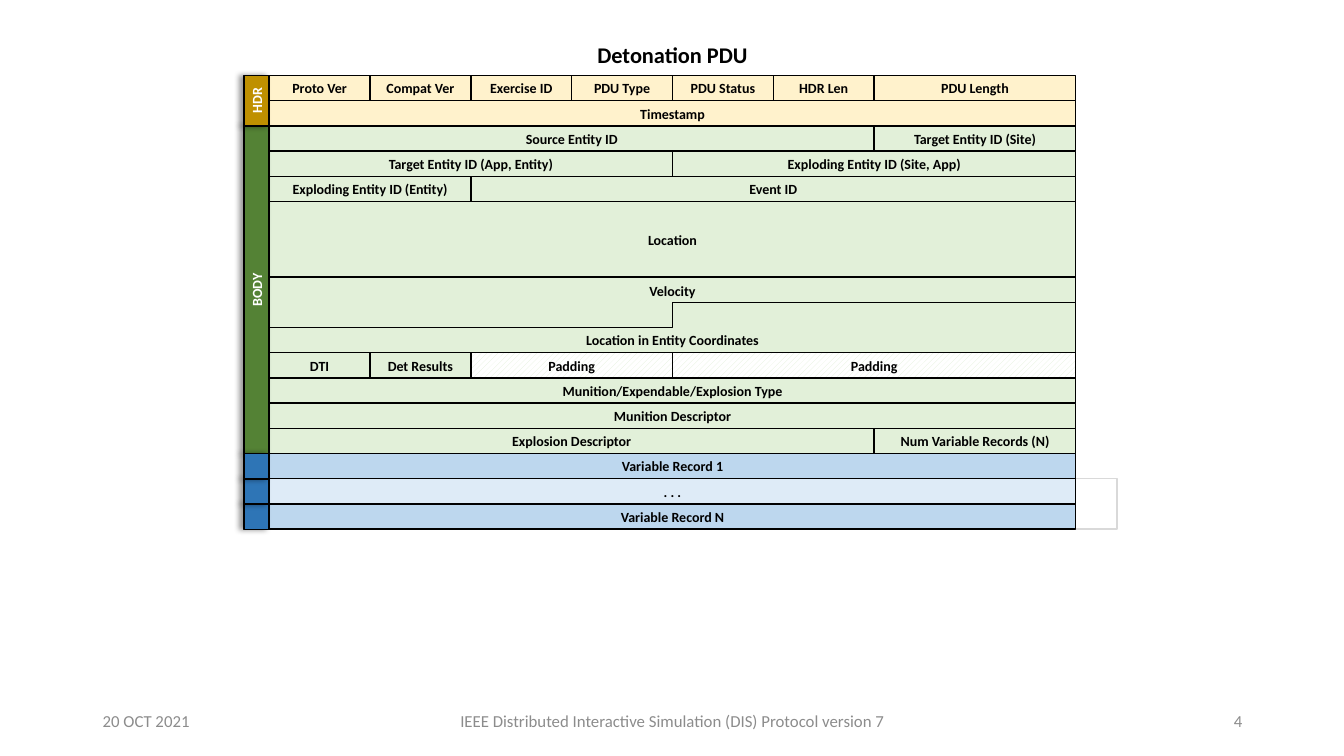
from lxml import etree
from pptx import Presentation
from pptx import util as u
from pptx.dml import color
from pptx.enum import dml, shapes, text
from pptx.oxml import ns

BYTE, ROW = 1, 0.25
FIELDS_X, FIELDS_Y = 2.67, 0.75
STRIP_W = 0.25
CREAM, GREEN, BLUE, PALE_BLUE = "FFF2CC", "E2F0D9", "BDD7EE", "DEEBF7"
BLACK, WHITE, GREY = "000000", "FFFFFF", "8C8C8C"
CENTER, MIDDLE = text.PP_ALIGN.CENTER, text.MSO_ANCHOR.MIDDLE

# First row, fill, rows high, (label, bytes wide) of each field
FIELD_ROWS = [
    (0, CREAM, 1, [("Proto Ver", 1), ("Compat Ver", 1), ("Exercise ID", 1), ("PDU Type", 1),
                   ("PDU Status", 1), ("HDR Len", 1), ("PDU Length", 2)]),
    (1, CREAM, 1, [("Timestamp", 8)]),
    (2, GREEN, 1, [("Source Entity ID", 6), ("Target Entity ID (Site)", 2)]),
    (3, GREEN, 1, [("Target Entity ID (App, Entity)", 4),
                   ("Exploding Entity ID (Site, App)", 4)]),
    (4, GREEN, 1, [("Exploding Entity ID (Entity)", 2), ("Event ID", 6)]),
    (5, GREEN, 3, [("Location", 8)]),
    (8, GREEN, 2, [("Velocity", 8)]),
    (9, GREEN, 2, [("Location in Entity Coordinates", 8)]),
    (11, GREEN, 1, [("DTI", 1), ("Det Results", 1), ("Padding", 2), ("Padding", 4)]),
    (12, GREEN, 1, [("Munition/Expendable/Explosion Type", 8)]),
    (13, GREEN, 1, [("Munition Descriptor", 8)]),
    (14, GREEN, 1, [("Explosion Descriptor", 6), ("Num Variable Records (N)", 2)]),
    (15, BLUE, 1, [("Variable Record 1", 8)]),
    (16, PALE_BLUE, 1, [(". . .", 8)]),
    (17, BLUE, 1, [("Variable Record N", 8)]),
]

# First row, rows high, fill, label
SECTIONS = [
    (2, 13, "548235", "BODY"),
    (0, 2, "BF9000", "HDR"),
    (17, 1, "2E75B6", ""),
    (16, 1, "2E75B6", ""),
    (15, 1, "2E75B6", ""),
]


def rgb(value):
    return color.RGBColor.from_string(value)


def write(sp, label, size=10, ink=BLACK, bold=True, align=CENTER, anchor=MIDDLE):
    tf = sp.text_frame
    tf.word_wrap = True
    tf.vertical_anchor = anchor
    p = tf.paragraphs[0]
    p.alignment = align
    r = p.add_run()
    r.text = label
    for name, value in {"name": "Calibri", "size": u.Pt(size), "bold": bold}.items():
        setattr(r.font, name, value)
    r.font.color.rgb = rgb(ink)


def add_box(slide, x, y, w, h, fill=None, line=BLACK):
    sp = slide.shapes.add_shape(shapes.MSO_SHAPE.RECTANGLE, *map(u.Inches, (x, y, w, h)))
    sp.shadow.inherit = False
    if fill:
        sp.fill.solid()
        sp.fill.fore_color.rgb = rgb(fill)
    else:
        sp.fill.background()
    sp.line.color.rgb = rgb(line)
    sp.line.width = u.Pt(1)
    return sp


def add_turned_box(slide, x, y, w, h, turn, **style):
    """Fill the box x, y, w, h with a rectangle turned by a quarter."""
    sp = add_box(slide, x + (w - h) / 2, y + (h - w) / 2, h, w, **style)
    sp.rotation = turn
    return sp


def cast_shadow_left(sp):
    effects = sp._element.spPr.find(ns.qn("a:effectLst"))
    shadow = etree.SubElement(effects, ns.qn("a:outerShdw"), blurRad=str(u.Pt(4)),
                              dist=str(u.Pt(3)), dir="10800000", rotWithShape="0")
    tint = etree.SubElement(shadow, ns.qn("a:srgbClr"), val=BLACK)
    etree.SubElement(tint, ns.qn("a:alpha"), val="40000")


def cut_top_left(sp, w, h):
    """Turn a rectangle into a mirrored corner shape without its top left quarter."""
    props = sp._element.spPr
    props.find(ns.qn("a:xfrm")).set("flipH", "1")
    geometry = props.find(ns.qn("a:prstGeom"))
    geometry.set("prst", "corner")
    guides = geometry.find(ns.qn("a:avLst"))
    for name, share in {"adj1": 0.5, "adj2": w / 2 / h}.items():
        etree.SubElement(guides, ns.qn("a:gd"), name=name, fmla=f"val {round(share * 100000)}")


def add_field(slide, x, y, w, h, fill, label):
    sp = add_box(slide, x, y, w, h, fill)
    if label == "Location in Entity Coordinates":
        cut_top_left(sp, w, h)
    if label == "Padding":
        sp.fill.patterned()
        sp.fill.pattern = dml.MSO_PATTERN.WIDE_UPWARD_DIAGONAL
        sp.fill.fore_color.rgb = rgb(fill)
        sp.fill.back_color.rgb = rgb(WHITE)
    write(sp, label, anchor=text.MSO_ANCHOR.TOP if label == "Velocity" else MIDDLE)


def add_fields(slide, left, top):
    for row, fill, rows, fields in FIELD_ROWS:
        x = left
        for label, size in fields:
            add_field(slide, x, top + row * ROW, size * BYTE, rows * ROW, fill, label)
            x += size * BYTE


def add_sections(slide, left, top):
    for row, rows, fill, label in SECTIONS:
        sp = add_turned_box(slide, left, top + row * ROW, STRIP_W, rows * ROW, 270, fill=fill)
        cast_shadow_left(sp)
        if label:
            write(sp, label, ink=WHITE)


def add_label(slide, x, y, w, h, label, **style):
    write(slide.shapes.add_textbox(*map(u.Inches, (x, y, w, h))), label, **style)


def add_footer(slide, y, h):
    for x, w, label, align in [
        (0.92, 3, "20 OCT 2021", text.PP_ALIGN.LEFT),
        (4.42, 4.5, "IEEE Distributed Interactive Simulation (DIS) Protocol version 7", CENTER),
        (9.42, 3, "4", text.PP_ALIGN.RIGHT),
    ]:
        add_label(slide, x, y, w, h, label, size=12, ink=GREY, bold=False, align=align)


def main():
    prs = Presentation()
    prs.slide_width, prs.slide_height = u.Inches(13.33), u.Inches(7.5)
    slide = prs.slides.add_slide(prs.slide_layouts[6])
    add_turned_box(slide, 10.66, FIELDS_Y + 16 * ROW, 0.42, 2 * ROW, 90, line="D9D9D9")
    add_fields(slide, FIELDS_X, FIELDS_Y)
    add_label(slide, FIELDS_X + 2 * BYTE, 0.42, 4 * BYTE, 0.25, "Detonation PDU", size=16)
    add_sections(slide, FIELDS_X - STRIP_W, FIELDS_Y)
    add_footer(slide, 6.95, 0.4)
    prs.save("out.pptx")


if __name__ == "__main__":
    main()
